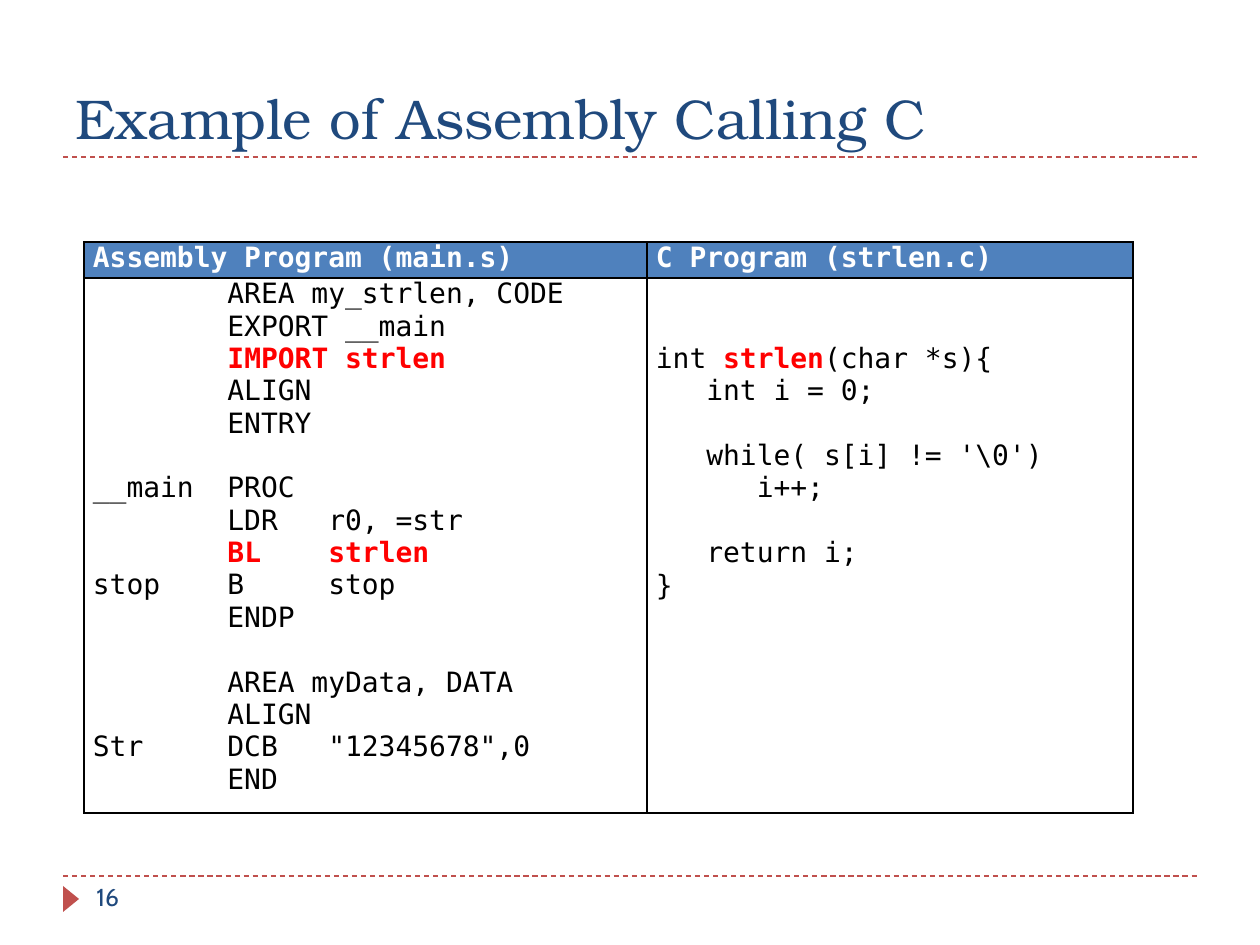
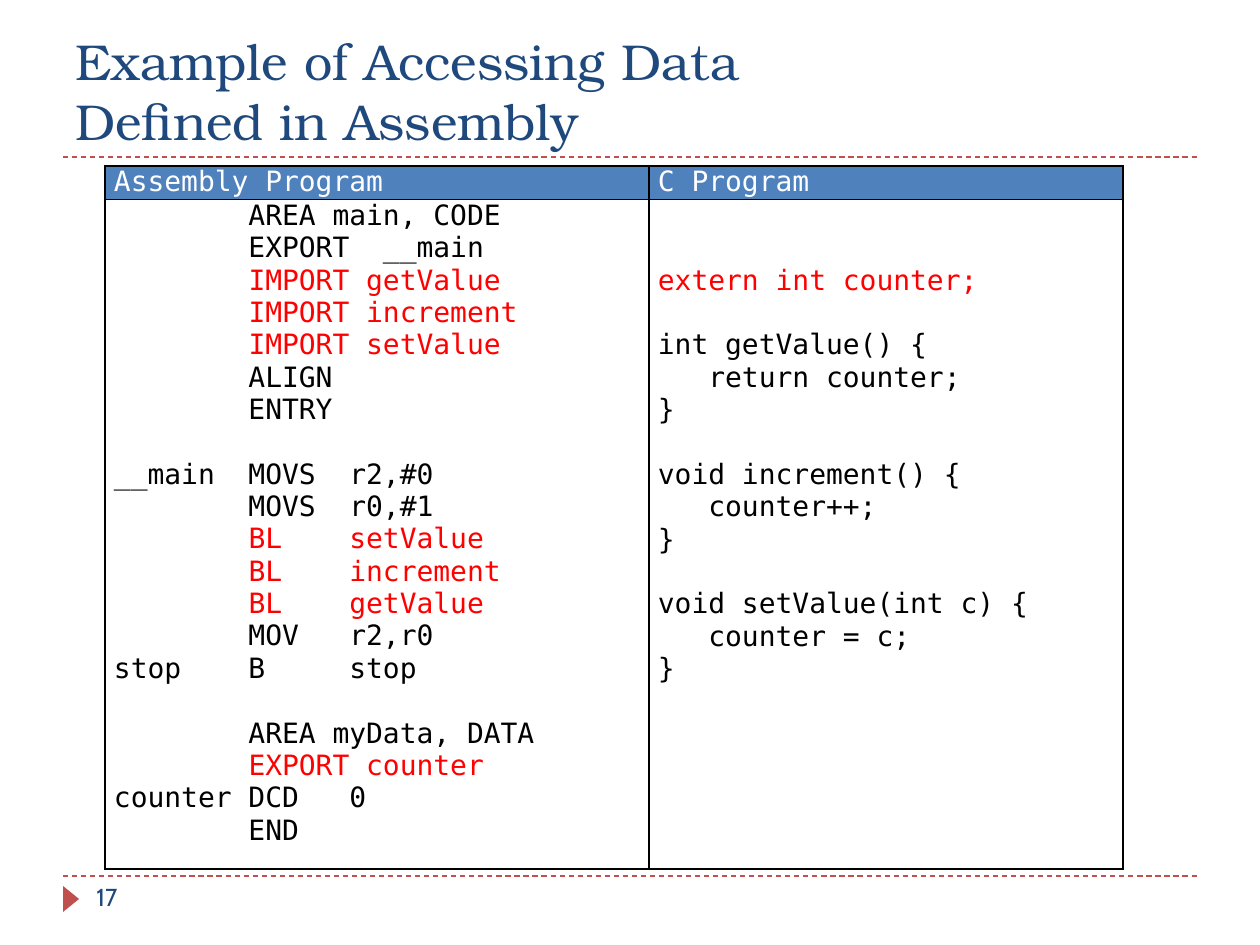
from lxml.etree import SubElement
from pptx import Presentation
from pptx.dml.color import RGBColor
from pptx.enum.dml import MSO_LINE
from pptx.enum.shapes import MSO_CONNECTOR, MSO_SHAPE
from pptx.enum.text import MSO_ANCHOR
from pptx.oxml.ns import qn
from pptx.util import Emu, Pt

# Shared look
NAVY = RGBColor(0x1F, 0x49, 0x7D)
BRICK = RGBColor(0xC0, 0x50, 0x4D)
BLUE = RGBColor(0x4F, 0x81, 0xBD)
RED = RGBColor(0xFF, 0x00, 0x00)
BLACK = RGBColor(0x00, 0x00, 0x00)
WHITE = RGBColor(0xFF, 0xFF, 0xFF)
TITLE_FONT, CODE_FONT, NUMBER_FONT = "TeX Gyre Bonum", "DejaVu Sans Mono", "Cabin"
PX_PER_INCH = 126
CODE_LINE = Pt(18.5)

# Code listings: text between bars is highlighted
STRLEN_ASM = """\
        AREA my_strlen, CODE
        EXPORT __main
        |IMPORT strlen|
        ALIGN
        ENTRY

__main  PROC
        LDR   r0, =str
        |BL    strlen|
stop    B     stop
        ENDP

        AREA myData, DATA
        ALIGN
Str     DCB   "12345678",0
        END"""

STRLEN_C = r"""

int |strlen|(char *s){
   int i = 0;

   while( s[i] != '\0')
      i++;

   return i;
}"""

COUNTER_ASM = """\
        AREA main, CODE
        EXPORT  __main
        |IMPORT getValue|
        |IMPORT increment|
        |IMPORT setValue|
        ALIGN
        ENTRY

__main  MOVS  r2,#0
        MOVS  r0,#1
        |BL    setValue|
        |BL    increment|
        |BL    getValue|
        MOV   r2,r0
stop    B     stop

        AREA myData, DATA
        |EXPORT counter|
counter DCD   0
        END"""

COUNTER_C = """

|extern int counter;|

int getValue() {
   return counter;
}

void increment() {
   counter++;
}

void setValue(int c) {
   counter = c;
}"""


def px(n):
    return Emu(round(n * 914400 / PX_PER_INCH))


def add_text(p, text, *, font, size, color, bold=False):
    r = p.add_run()
    r.text = text
    r.font.name = font
    r.font.size = Pt(size)
    r.font.color.rgb = color
    r.font.bold = bold


def add_box(s, x, y, w, h, lines, anchor=MSO_ANCHOR.TOP, **fmt):
    tf = s.shapes.add_textbox(px(x), px(y), px(w), px(h)).text_frame
    tf.word_wrap = True
    tf.vertical_anchor = anchor
    p = tf.paragraphs[0]
    for i, line in enumerate(lines):
        if i:
            p.add_line_break()
        add_text(p, line, **fmt)


def add_rule(s, y):
    line = s.shapes.add_connector(MSO_CONNECTOR.STRAIGHT, px(63), px(y), px(1197), px(y))
    line.line.color.rgb = BRICK
    line.line.width = Pt(0.75)
    line.line.dash_style = MSO_LINE.DASH
    SubElement(line._element.spPr, qn("a:effectLst"))


def add_frame(prs, title_lines, title_size, number):
    """Start a slide with its rules, title, marker and number."""
    s = prs.slides.add_slide(prs.slide_layouts[6])
    add_rule(s, 876)
    add_rule(s, 157)
    marker = s.shapes.add_shape(MSO_SHAPE.ISOSCELES_TRIANGLE, px(58), px(891), px(26), px(16))
    marker.rotation = 90
    marker.shadow.inherit = False
    marker.fill.solid()
    marker.fill.fore_color.rgb = BRICK
    marker.line.fill.background()
    add_box(s, 63, 21, 1134, 136, title_lines, MSO_ANCHOR.BOTTOM,
            font=TITLE_FONT, size=title_size, color=NAVY)
    add_box(s, 84, 876, 273, 50, [str(number)], font=NUMBER_FONT, size=14, color=NAVY)
    return s


def style_cell(cell, fill=None):
    cell.margin_left = cell.margin_right = px(9)
    cell.margin_top = cell.margin_bottom = 0
    tcPr = cell._tc.get_or_add_tcPr()
    for side in ("a:lnL", "a:lnR", "a:lnT", "a:lnB"):
        ln = SubElement(tcPr, qn(side), w=str(Pt(1)))
        SubElement(SubElement(ln, qn("a:solidFill")), qn("a:srgbClr"), val=str(BLACK))
    if fill is None:
        cell.fill.background()
    else:
        cell.fill.solid()
        cell.fill.fore_color.rgb = fill


def fill_code(cell, code, bold):
    """Write one paragraph per code line; empty lines become spacing."""
    tf = cell.text_frame
    p, gap = None, 0
    for line in code.split("\n"):
        if not line:
            gap += CODE_LINE
            continue
        if p is None:
            p = tf.paragraphs[0]
            cell.margin_top = Emu(gap)
        else:
            p = tf.add_paragraph()
            p.space_before = Emu(gap)
        gap = 0
        for i, part in enumerate(line.split("|")):
            marked = i % 2 == 1
            if part:
                add_text(p, part, font=CODE_FONT, size=16,
                         color=RED if marked else BLACK, bold=bold and marked)


def add_code_table(s, x, y, widths, heights, headings, listings, bold=False):
    table = s.shapes.add_table(2, 2, px(x), px(y), px(sum(widths)), px(sum(heights))).table
    table.horz_banding = False
    for row, h in zip(table.rows, heights):
        row.height = px(h)
    for c, (w, heading, code) in enumerate(zip(widths, headings, listings)):
        table.columns[c].width = px(w)
        head, body = table.cell(0, c), table.cell(1, c)
        style_cell(head, BLUE)
        add_text(head.text_frame.paragraphs[0], heading,
                 font=CODE_FONT, size=16, color=WHITE, bold=bold)
        style_cell(body)
        fill_code(body, code, bold)


def main():
    prs = Presentation()
    prs.slide_width, prs.slide_height = px(1260), px(945)

    # Assembly calling C
    s = add_frame(prs, ["Example of Assembly Calling C"], 32, 16)
    add_code_table(s, 84, 242, (563, 486), (36, 517),
                   ("Assembly Program (main.s)", "C Program (strlen.c)"),
                   (STRLEN_ASM, STRLEN_C), bold=True)

    # Data defined in assembly
    s = add_frame(prs, ["Example of Accessing Data", "Defined in Assembly"], 28.8, 17)
    add_code_table(s, 105, 166, (544, 474), (32, 646),
                   ("Assembly Program", "C Program"), (COUNTER_ASM, COUNTER_C))

    prs.save("out.pptx")


if __name__ == "__main__":
    main()
